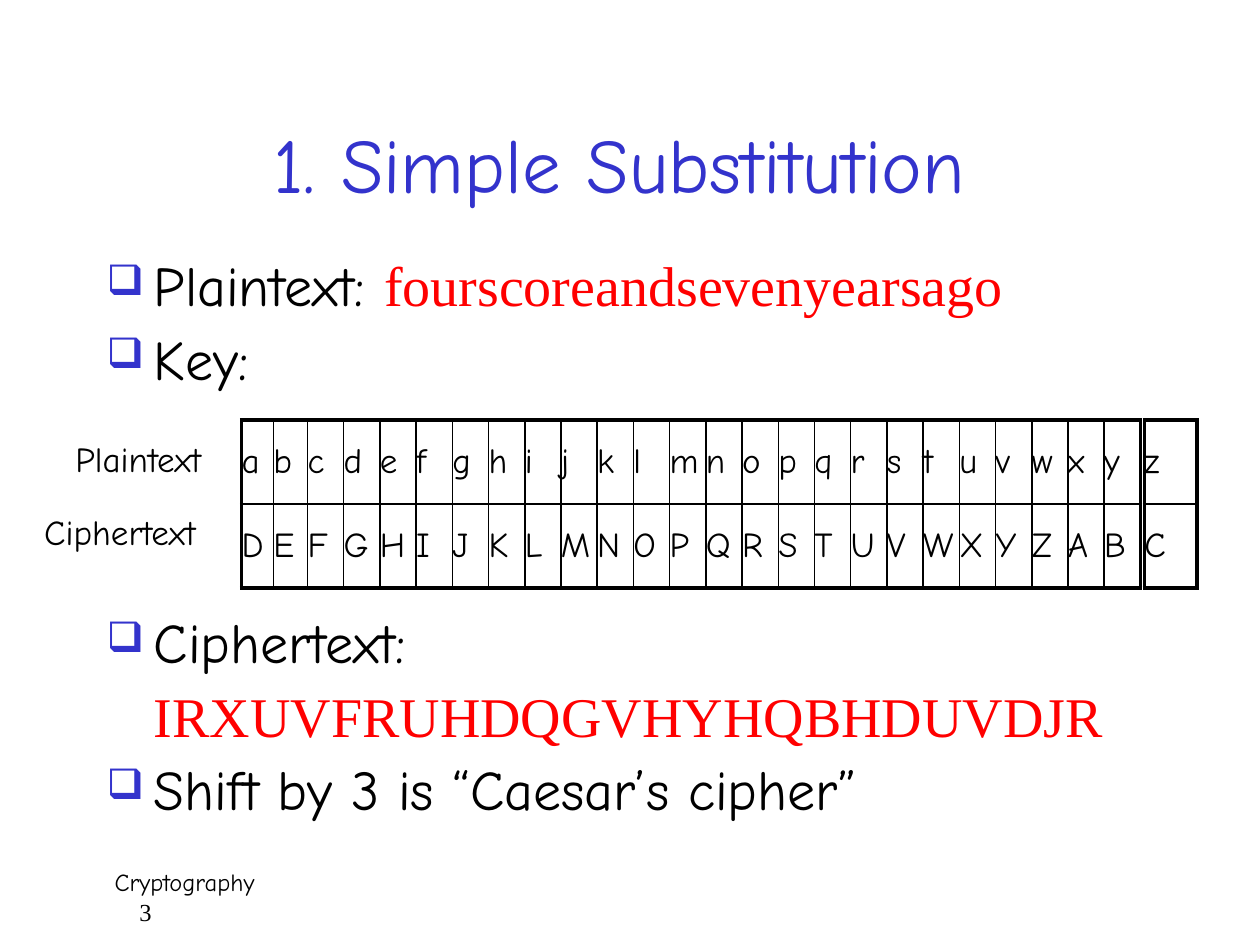
from lxml.etree import SubElement
from pptx import Presentation
from pptx.dml.color import RGBColor
from pptx.enum.text import MSO_ANCHOR as Anchor, PP_ALIGN as Align
from pptx.oxml.ns import qn
from pptx.util import Cm, Pt

BLACK = RGBColor(0x00, 0x00, 0x00)
BLUE = RGBColor(0x33, 0x33, 0xCC)
RED = RGBColor(0xFF, 0x00, 0x00)
HAND, SERIF = "Comic Neue", "Times New Roman"
THICK, THIN = 2.25, 1

TITLE = "1. Simple Substitution"
KEY_ITEMS = [
    (True, [("Plaintext: ", HAND, BLACK), ("fourscoreandsevenyearsago", SERIF, RED)]),
    (True, [("Key:", HAND, BLACK)]),
]
CIPHER_ITEMS = [
    (True, [("Ciphertext:", HAND, BLACK)]),
    (False, [("IRXUVFRUHDQGVHYHQBHDUVDJR", SERIF, RED)]),
    (True, [("Shift by 3 is “Caesar’s cipher”", HAND, BLACK)]),
]
ROW_LABELS = [("Plaintext", 1.27, 8.69), ("Ciphertext", 0.64, 10.16)]
PLAIN = "abcdefghijklmnopqrstuvwxyz"
SHIFT = 3
CIPHER = (PLAIN[SHIFT:] + PLAIN[:SHIFT]).upper()
FOOTER = [("Cryptography", HAND, 0.16), ("3", SERIF, 0.66)]

TABLE_LEFT, TABLE_TOP, ROW_HEIGHT = 4.87, 8.47, 1.69
COLUMNS = [0.64, 0.69] + [0.73] * 23
LAST_COLUMN = 1.06
LAST_LEFT = 23.07


def add_run(paragraph, text, font, size, color):
    run = paragraph.add_run()
    run.text = text
    run.font.name = font
    run.font.size = Pt(size)
    run.font.color.rgb = color


def add_frame(slide, left, top, width, height, wrap=True):
    frame = slide.shapes.add_textbox(Cm(left), Cm(top), Cm(width), Cm(height)).text_frame
    frame.word_wrap = wrap
    return frame


def paragraph_at(frame, index):
    return frame.add_paragraph() if index else frame.paragraphs[0]


def indent(paragraph, left, first=0):
    properties = paragraph._p.get_or_add_pPr()
    properties.set("marL", str(Cm(left)))
    properties.set("indent", str(Cm(first)))
    return properties


def add_list(slide, items, top, height):
    frame = add_frame(slide, 1.9, top, 21.8, height)
    for index, (bulleted, runs) in enumerate(items):
        paragraph = paragraph_at(frame, index)
        properties = indent(paragraph, 0.95, -0.95 if bulleted else 0)
        if bulleted:
            color = SubElement(properties, qn("a:buClr"))
            SubElement(color, qn("a:srgbClr"), val=str(BLUE))
            SubElement(properties, qn("a:buSzPct"), val="75000")
            SubElement(properties, qn("a:buChar"), char="❑")
        paragraph.line_spacing = 0.9
        if index:
            paragraph.space_before = Pt(7.4)
        for text, font, ink in runs:
            add_run(paragraph, text, font, 32, ink)


def set_borders(cell, widths):
    properties = cell._tc.get_or_add_tcPr()
    for side, width in zip("LRTB", widths):
        line = SubElement(properties, qn(f"a:ln{side}"), w=str(Pt(width)))
        fill = SubElement(line, qn("a:solidFill"))
        SubElement(fill, qn("a:srgbClr"), val=str(BLACK))


def add_key_table(slide, rows, left, columns):
    table = slide.shapes.add_table(
        len(rows), len(columns), Cm(left), Cm(TABLE_TOP),
        Cm(sum(columns)), Cm(ROW_HEIGHT * len(rows))).table
    table.first_row = table.horz_banding = False
    for column, width in zip(table.columns, columns):
        column.width = Cm(width)
    for r, letters in enumerate(rows):
        table.rows[r].height = Cm(ROW_HEIGHT)
        for c, letter in enumerate(letters):
            cell = table.cell(r, c)
            outer = (c == 0, c == len(columns) - 1, r == 0, r == len(rows) - 1)
            set_borders(cell, [THICK if edge else THIN for edge in outer])
            cell.fill.background()
            cell.margin_left = cell.margin_right = cell.margin_top = cell.margin_bottom = 0
            cell.vertical_anchor = Anchor.MIDDLE
            add_run(cell.text_frame.paragraphs[0], letter, HAND, 20, BLACK)


def main():
    deck = Presentation()
    deck.slide_width, deck.slide_height = Cm(25.4), Cm(19.05)
    slide = deck.slides.add_slide(deck.slide_layouts[5])

    title = slide.shapes.title
    title.left, title.top, title.width, title.height = Cm(1.48), Cm(1.7), Cm(22.01), Cm(3.17)
    title.text_frame.vertical_anchor = Anchor.MIDDLE
    heading = title.text_frame.paragraphs[0]
    heading.alignment = Align.CENTER
    add_run(heading, TITLE, HAND, 44, BLUE)

    add_list(slide, KEY_ITEMS, 5.08, 3.6)
    split = len(COLUMNS)
    add_key_table(slide, [PLAIN[:split], CIPHER[:split]], TABLE_LEFT, COLUMNS)
    add_key_table(slide, [PLAIN[split:], CIPHER[split:]], LAST_LEFT, [LAST_COLUMN])
    add_list(slide, CIPHER_ITEMS, 12.28, 4.66)

    for label, left, top in ROW_LABELS:
        frame = add_frame(slide, left, top, 3.8, 1.24, wrap=False)
        add_run(frame.paragraphs[0], label, HAND, 20, BLACK)

    footer = add_frame(slide, 1.9, 17.36, 21.8, 1.27)
    for index, (text, font, left) in enumerate(FOOTER):
        paragraph = paragraph_at(footer, index)
        indent(paragraph, left)
        add_run(paragraph, text, font, 14, BLACK)

    deck.save("out.pptx")


if __name__ == "__main__":
    main()
